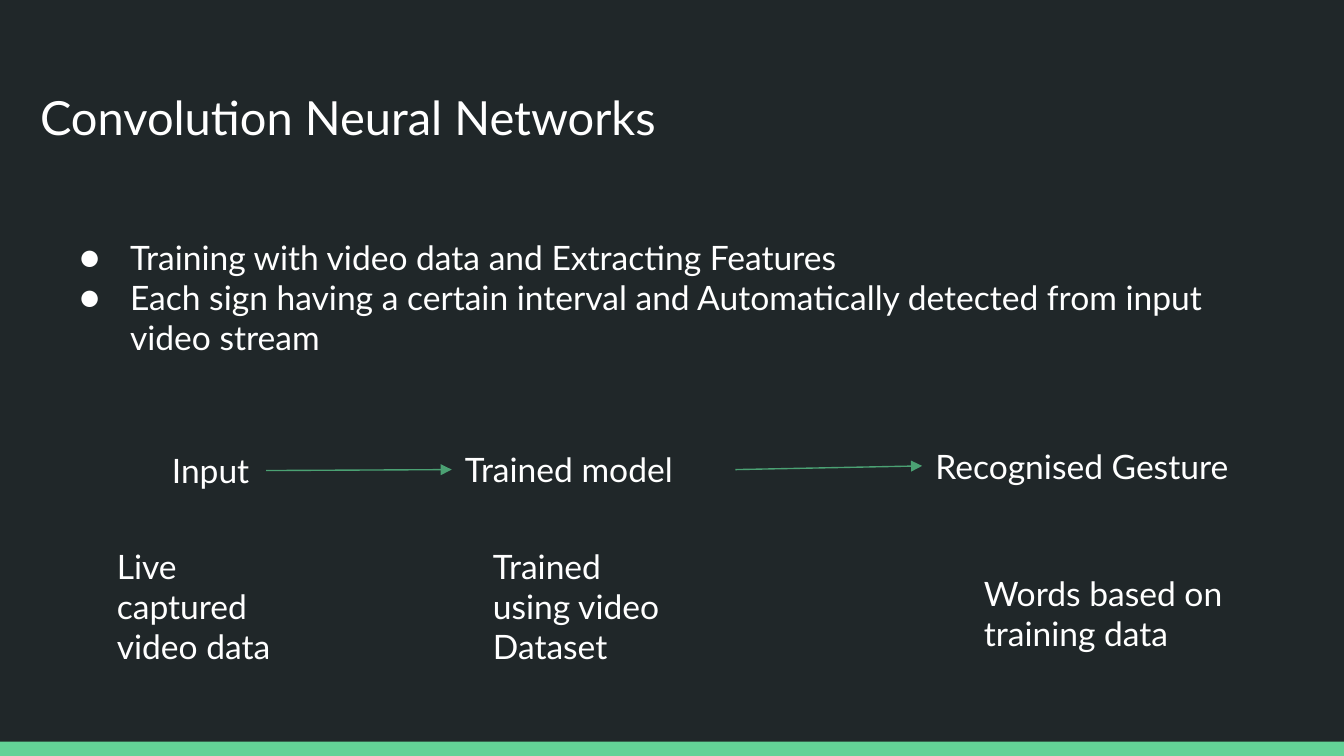
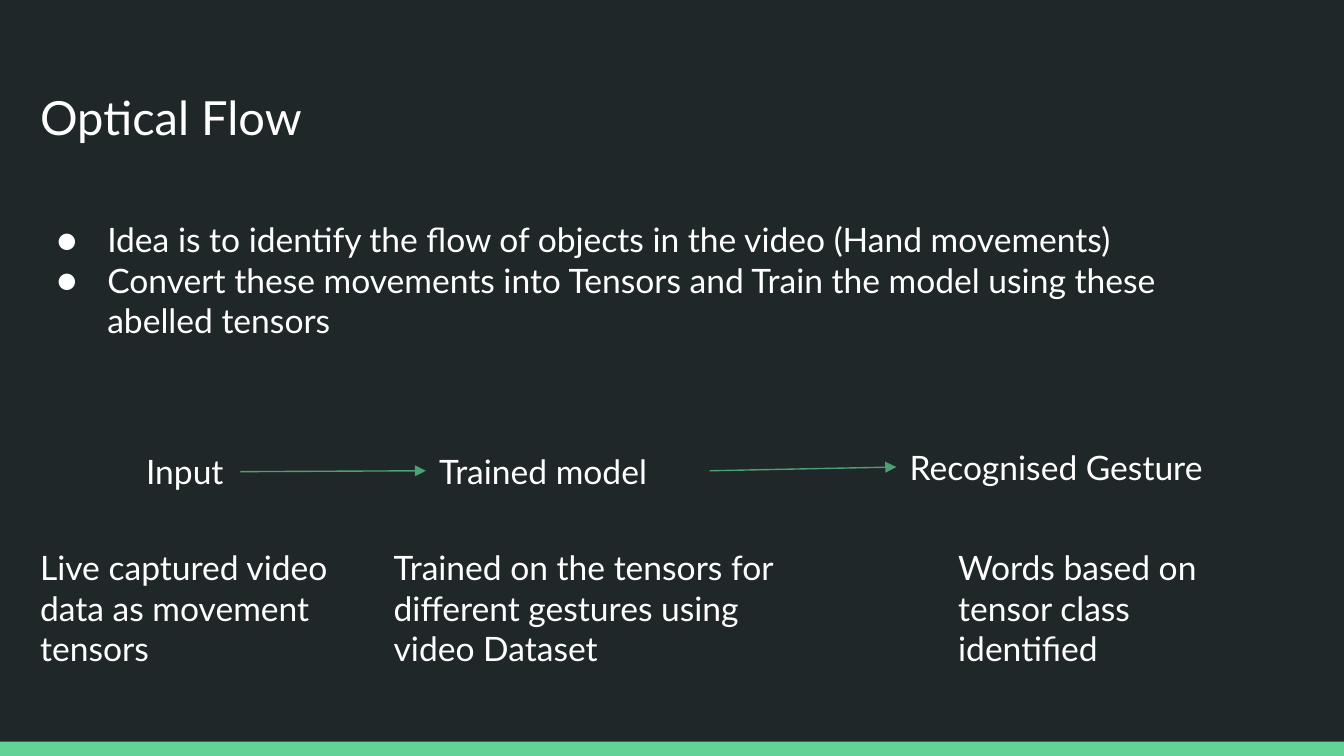
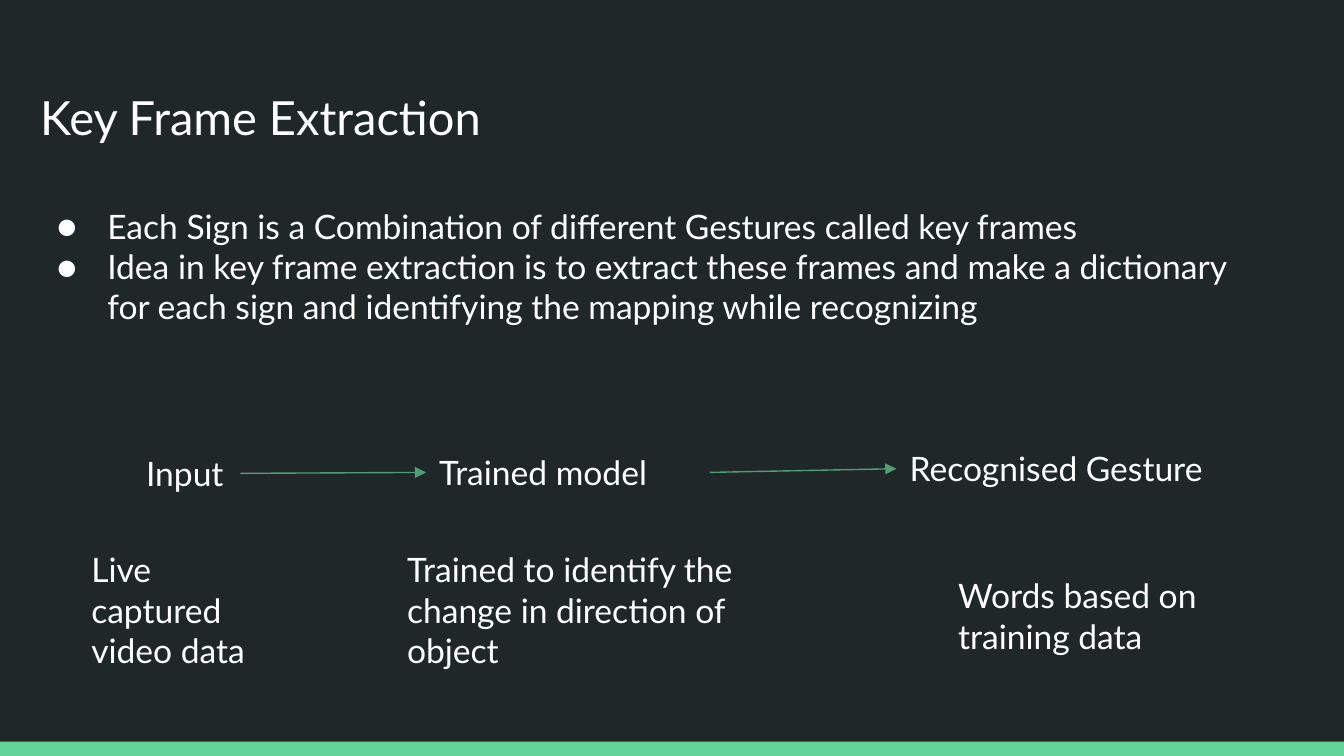
from lxml import etree
from pptx import Presentation
from pptx.dml.color import RGBColor
from pptx.enum import shapes, text
from pptx.oxml import ns
from pptx.util import Pt

DARK = RGBColor(0x20, 0x27, 0x29)
WHITE = RGBColor(0xFF, 0xFF, 0xFF)
MINT = RGBColor(0x63, 0xD2, 0x97)
GREEN = RGBColor(0x4B, 0xA1, 0x73)

WIDTH, HEIGHT, BAND = 720, 405, 7.6
INSET, LINE = 7.2, 21.8
BODY = {"name": "Lato", "size": Pt(18)}
TITLE = {**BODY, "size": Pt(25.2)}
FRAME = {"word_wrap": True, "vertical_anchor": text.MSO_ANCHOR.TOP,
         **{f"margin_{side}": Pt(INSET) for side in ("left", "top", "right", "bottom")}}
BULLET = {"marL": Pt(36), "indent": Pt(-27)}

STAGES = [("Input", 0, 0, 57.6), ("Trained model", 157, -0.5, 152),
          ("Recognised Gesture", 409, -2.5, 198)]

SLIDES = [
    {"title": "Convolution Neural Networks",
     "body": (26.6, 119.5, 662.4),
     "points": ["Training with video data and Extracting Features",
                "Each sign having a certain interval and Automatically detected "
                "from input video stream"],
     "flow": (85, 234),
     "captions": [("Live captured video data", 55.5, 285, 116.6, 3),
                  ("Trained using video Dataset", 257, 285, 116.6, 3),
                  ("Words based on training data", 520, 299.5, 145.5, 2)]},
    {"title": "Optical Flow",
     "body": (14.4, 110.2, 666),
     "points": ["Idea is to identify the flow of objects in the video (Hand movements)",
                "Convert these movements into Tensors and Train the model using these "
                "abelled tensors"],
     "flow": (71.2, 234.6),
     "captions": [("Live captured video data as movement tensors", 14.4, 286, 186.5, 3),
                  ("Trained on the tensors for different gestures using video Dataset",
                   203.8, 286, 222.5, 3),
                  ("Words based on tensor class identified", 506.2, 286, 145.5, 3)]},
    {"title": "Key Frame Extraction",
     "body": (14.4, 103, 666),
     "points": ["Each Sign is a Combination of different Gestures called key frames",
                "Idea in key frame extraction is to extract these frames and make a "
                "dictionary for each sign and identifying the mapping while recognizing"],
     "flow": (71.2, 235.5),
     "captions": [("Live captured video data", 41.8, 287, 116.6, 3),
                  ("Trained to identify the change in direction of object",
                   211, 287, 208, 3),
                  ("Words based on training data", 506.2, 301, 145.5, 2)]},
]


class Deck:
    """Holds the shared style and the current slide, and draws each kind of element."""

    def __init__(self):
        self.prs = Presentation()
        self.prs.slide_width, self.prs.slide_height = Pt(WIDTH), Pt(HEIGHT)

    def slide(self):
        self.s = self.prs.slides.add_slide(self.prs.slide_layouts[6])
        self.s.background.fill.solid()
        self.s.background.fill.fore_color.rgb = DARK
        self.band()

    def band(self):
        sp = self.s.shapes.add_shape(shapes.MSO_SHAPE.RECTANGLE, 0, Pt(HEIGHT - BAND),
                                     Pt(WIDTH), Pt(BAND))
        sp.shadow.inherit = False
        sp.fill.solid()
        sp.fill.fore_color.rgb = MINT
        sp.line.fill.background()

    def text(self, lines, x, y, w, h, fmt=BODY):
        sp = self.s.shapes.add_textbox(Pt(x), Pt(y), Pt(w), Pt(h))
        tf = sp.text_frame
        for key, value in FRAME.items():
            setattr(tf, key, value)
        for i, line in enumerate(lines):
            p = tf.paragraphs[0] if i == 0 else tf.add_paragraph()
            r = p.add_run()
            r.text = line
            r.font.color.rgb = WHITE
            for key, value in fmt.items():
                setattr(r.font, key, value)
        return sp

    def title(self, line):
        sp = self.text([line], 14.4, 40.3, 600.5, 45.4, TITLE)
        sp.fill.solid()
        sp.fill.fore_color.rgb = DARK

    def label(self, line, x, y, w, rows=1):
        sp = self.text([line], x, y, w, 2 * INSET + rows * LINE)
        sp.text_frame.auto_size = text.MSO_AUTO_SIZE.SHAPE_TO_FIT_TEXT
        return sp

    def bullets(self, lines, x, y, w):
        sp = self.text(lines, x, y, w, 2 * INSET + 3 * LINE)
        sp.text_frame.auto_size = text.MSO_AUTO_SIZE.SHAPE_TO_FIT_TEXT
        for p in sp.text_frame.paragraphs:
            pPr = p._p.get_or_add_pPr()
            for key, value in BULLET.items():
                pPr.set(key, str(value))
            color = etree.SubElement(pPr, ns.qn("a:buClr"))
            etree.SubElement(color, ns.qn("a:srgbClr"), val=str(WHITE))
            etree.SubElement(pPr, ns.qn("a:buFont"), typeface=BODY["name"])
            etree.SubElement(pPr, ns.qn("a:buChar"), char="●")

    def arrow(self, start, end):
        sp = self.s.shapes.add_connector(shapes.MSO_CONNECTOR.STRAIGHT, 0, 0, 0, 0)
        sp.begin_connect(start, 3)
        sp.end_connect(end, 1)
        sp.line.color.rgb = GREEN
        sp.line.width = Pt(0.75)
        etree.SubElement(sp.line._get_or_add_ln(), ns.qn("a:tailEnd"), type="triangle")
        etree.SubElement(sp._element.spPr, ns.qn("a:effectLst"))

    def flow(self, x, y):
        stages = [self.label(name, x + dx, y + dy, w) for name, dx, dy, w in STAGES]
        for start, end in zip(stages, stages[1:]):
            self.arrow(start, end)


def main():
    deck = Deck()
    for content in SLIDES:
        deck.slide()
        deck.title(content["title"])
        deck.bullets(content["points"], *content["body"])
        deck.flow(*content["flow"])
        for caption in content["captions"]:
            deck.label(*caption)
    deck.prs.save("out.pptx")


if __name__ == "__main__":
    main()
